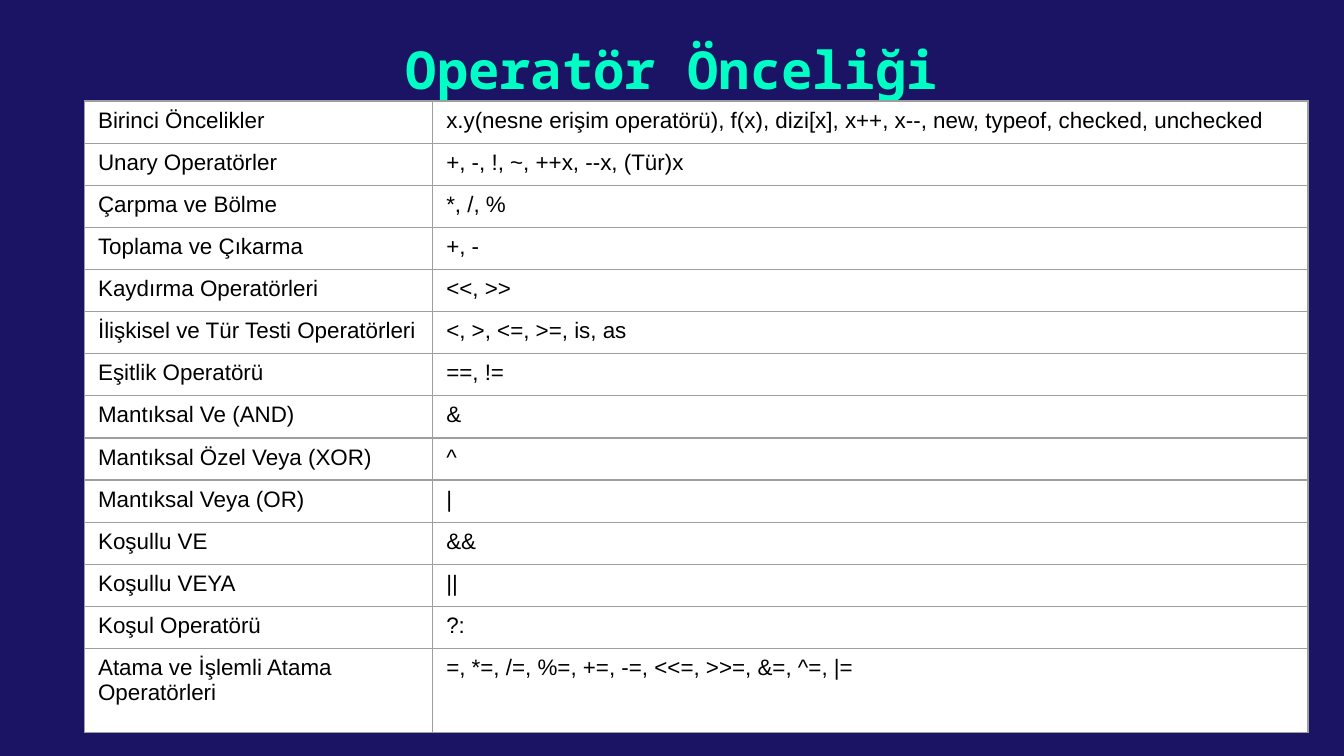
import pptx
import pptx.dml.color
import pptx.enum.text
import pptx.oxml
import pptx.oxml.ns
import pptx.util
from pptx.util import Cm

NAVY = pptx.dml.color.RGBColor(0x1B, 0x14, 0x64)
MINT = pptx.dml.color.RGBColor(0x00, 0xFF, 0xC5)
BLACK = pptx.dml.color.RGBColor(0x00, 0x00, 0x00)
WHITE = pptx.dml.color.RGBColor(0xFF, 0xFF, 0xFF)
GRAY = pptx.dml.color.RGBColor(0x9E, 0x9E, 0x9E)

ROWS = [
    ("Birinci Öncelikler",
     "x.y(nesne erişim operatörü), f(x), dizi[x], x++, x--, new, typeof, checked, unchecked"),
    ("Unary Operatörler", "+, -, !, ~, ++x, --x, (Tür)x"),
    ("Çarpma ve Bölme", "*, /, %"),
    ("Toplama ve Çıkarma", "+, -"),
    ("Kaydırma Operatörleri", "<<, >>"),
    ("İlişkisel ve Tür Testi Operatörleri", "<, >, <=, >=, is, as"),
    ("Eşitlik Operatörü", "==, !="),
    ("Mantıksal Ve (AND)", "&"),
    ("Mantıksal Özel Veya (XOR)", "^"),
    ("Mantıksal Veya (OR)", "|"),
    ("Koşullu VE", "&&"),
    ("Koşullu VEYA", "||"),
    ("Koşul Operatörü", "?:"),
    ("Atama ve İşlemli Atama Operatörleri",
     "=, *=, /=, %=, +=, -=, <<=, >>=, &=, ^=, |="),
]


def add_text(tf, text, size=12, font="Arial", color=BLACK, bold=False,
             align=pptx.enum.text.PP_ALIGN.LEFT):
    p = tf.paragraphs[0]
    p.alignment = align
    r = p.add_run()
    r.text = text
    r.font.size = pptx.util.Pt(size)
    r.font.name = font
    r.font.color.rgb = color
    r.font.bold = bold


def add_borders(cell, color, width):
    tc_pr = cell._tc.get_or_add_tcPr()
    for i, side in enumerate(("lnL", "lnR", "lnT", "lnB")):
        ln = pptx.oxml.parse_xml(
            f'<a:{side} {pptx.oxml.ns.nsdecls("a")} w="{pptx.util.Pt(width)}">'
            f'<a:solidFill><a:srgbClr val="{color}"/></a:solidFill></a:{side}>')
        tc_pr.insert(i, ln)  # borders come before the cell fill


# Slide and background
prs = pptx.Presentation()
prs.slide_width, prs.slide_height = Cm(25.4), Cm(14.29)
s = prs.slides.add_slide(prs.slide_layouts[6])
s.background.fill.solid()
s.background.fill.fore_color.rgb = NAVY

# Title
sp = s.shapes.add_textbox(0, Cm(0.38), prs.slide_width, Cm(1.85))
tf = sp.text_frame
tf.word_wrap = True
tf.margin_top = tf.margin_bottom = Cm(0.25)
tf.vertical_anchor = pptx.enum.text.MSO_ANCHOR.MIDDLE
add_text(tf, "Operatör Önceliği", size=28, font="Noto Sans Mono", color=MINT,
         bold=True, align=pptx.enum.text.PP_ALIGN.CENTER)

# Precedence table: the last row is twice as tall as the others
col_widths = [Cm(6.58), Cm(16.54)]
table_height = Cm(11.94)
unit = table_height // (len(ROWS) + 1)
table = s.shapes.add_table(len(ROWS), 2, Cm(1.6), Cm(1.91),
                           sum(col_widths), table_height).table
table.first_row = table.horz_banding = False
for col, width in zip(table.columns, col_widths):
    col.width = width
for row in table.rows:
    row.height = unit
table.rows[len(ROWS) - 1].height = 2 * unit

for row, texts in zip(table.rows, ROWS):
    for cell, text in zip(row.cells, texts):
        cell.fill.solid()
        cell.fill.fore_color.rgb = WHITE
        add_borders(cell, GRAY, 0.75)
        add_text(cell.text_frame, text)

prs.save("out.pptx")
